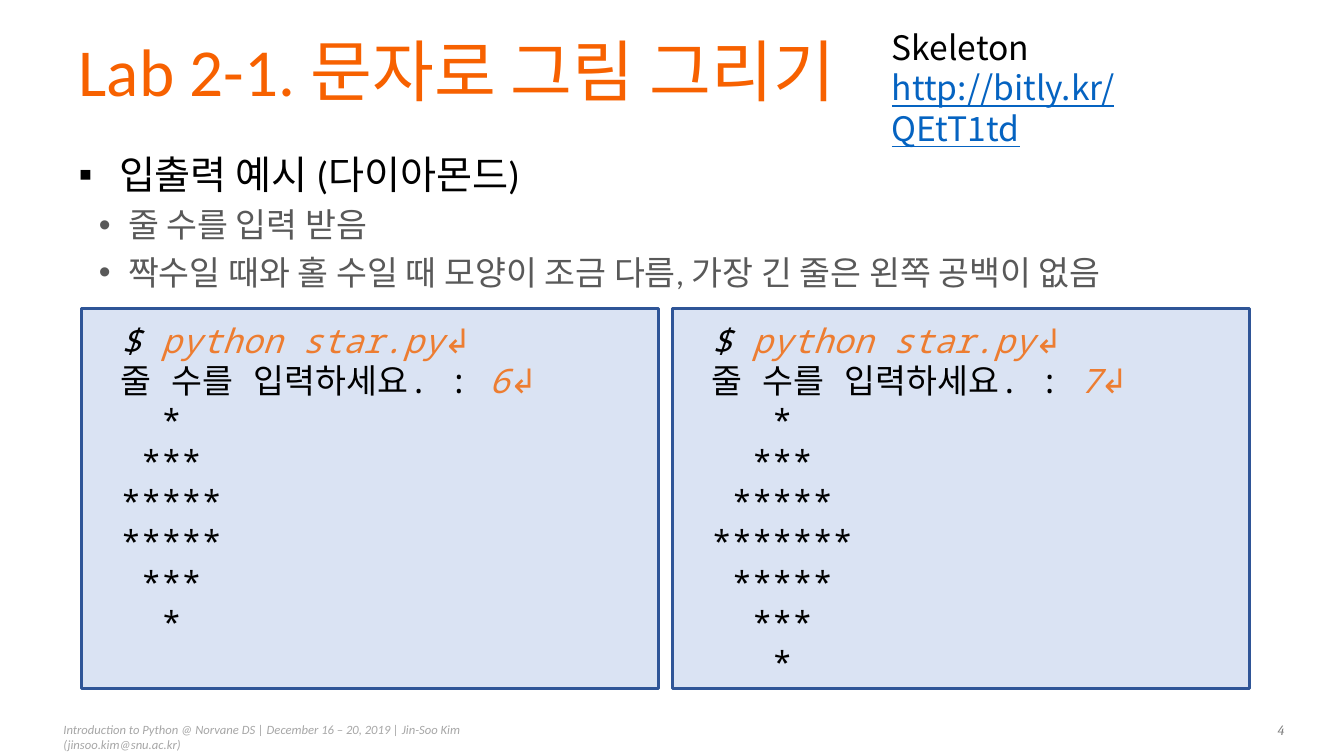
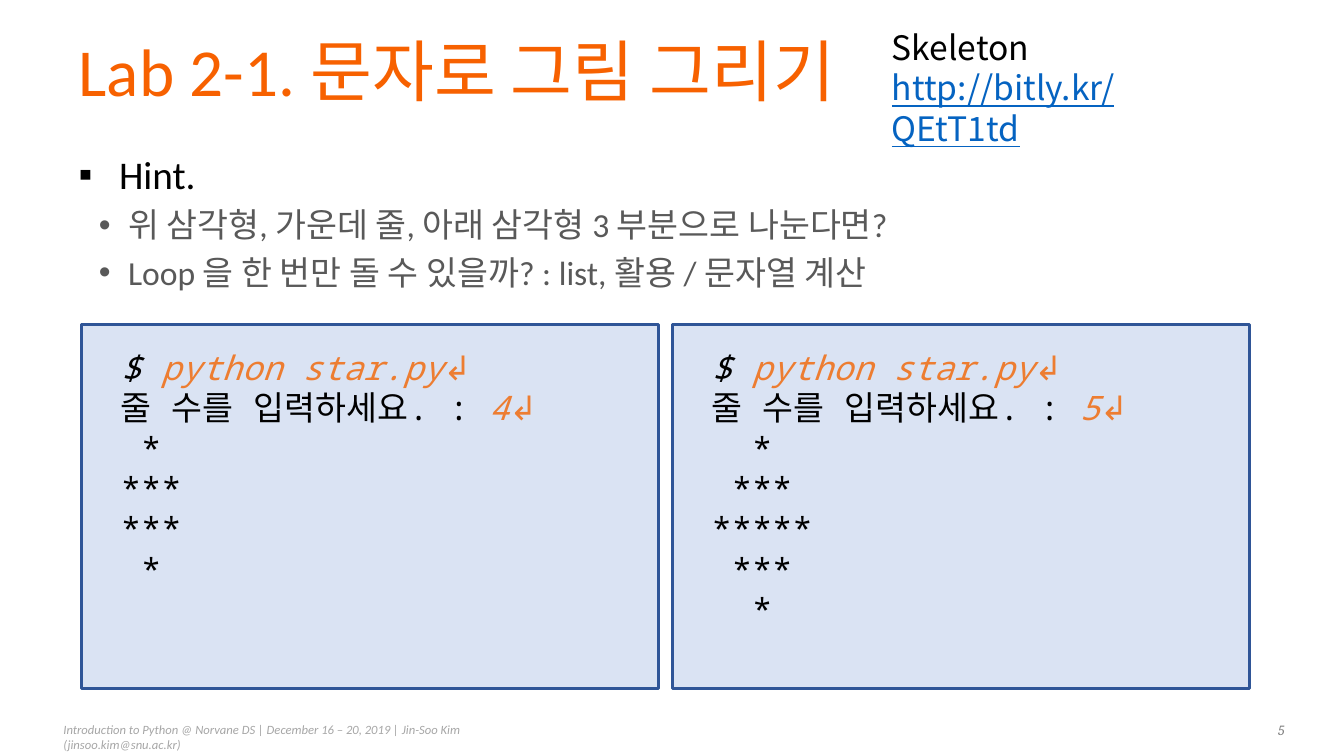
from dataclasses import dataclass
from typing import Any

import pptx
import pptx.dml.color
import pptx.enum.shapes
import pptx.enum.text
import pptx.oxml.ns
import pptx.util
from lxml import etree

Pt = pptx.util.Pt
RGBColor = pptx.dml.color.RGBColor
PP_ALIGN = pptx.enum.text.PP_ALIGN
MSO_ANCHOR = pptx.enum.text.MSO_ANCHOR


@dataclass(frozen=True)
class Style:
    size: float
    font: str
    color: str
    italic: bool = False
    underline: bool = False


@dataclass(frozen=True)
class Theme:
    title: Style = Style(48, "Calibri", "F76100")
    topic: Style = Style(28, "Calibri", "000000")
    detail: Style = Style(24, "Calibri", "595959")
    label: Style = Style(24, "Noto Sans CJK KR", "000000")
    link: Style = Style(24, "Noto Sans CJK KR", "0563C1", underline=True)
    output: Style = Style(24, "Noto Sans Mono", "000000")
    prompt: Style = Style(24, "Noto Sans Mono", "000000", italic=True)
    typed: Style = Style(24, "Noto Sans Mono", "ED7D31", italic=True)
    footer: Style = Style(9, "Calibri", "A6A6A6", italic=True)
    page: Style = Style(10, "Cambria", "808080", italic=True)
    console_fill: str = "DAE3F3"
    console_line: str = "2F5597"


@dataclass(frozen=True)
class Box:
    left: float
    top: float
    width: float
    height: float

    def lengths(self) -> tuple:
        return Pt(self.left), Pt(self.top), Pt(self.width), Pt(self.height)


@dataclass(frozen=True)
class Bullet:
    mark: str
    margin: float
    hang: float
    before: float
    style: Style


@dataclass(frozen=True)
class LabSlide:
    page: int
    topic: str
    details: tuple[str, ...]
    console_top: float
    console_inset: float
    line_counts: tuple[int, ...]


THEME = Theme()
TITLE_BOX = Box(49, 23.8, 862.6, 59.8)
BODY_BOX = Box(49, 103.7, 862.6, 400.3)
SKELETON_BOX = Box(630, 15.8, 252, 65.5)
FOOTER_BOX = Box(38.2, 511.9, 374.4, 18)
PAGE_BOX = Box(870.5, 511.9, 54, 19.4)

TOPIC_BULLET = Bullet("▪", 28.8, 28.8, 0, THEME.topic)
DETAIL_BULLET = Bullet("•", 35.3, 20.9, 5, THEME.detail)

CONSOLE_LEFT, CONSOLE_WIDTH, CONSOLE_GAP = 58.3, 412, 10
CONSOLE_BOTTOM = 491.8
LINE_PITCH = 28.8

TITLE = "Lab 2-1. 문자로 그림 그리기"
FOOTER = ("Introduction to Python @ Norvane DS | December 16 – 20, 2019 | "
          "Jin-Soo Kim (jinsoo.kim@snu.ac.kr)")

LABS = (
    LabSlide(4, "입출력 예시 (다이아몬드)",
             ("줄 수를 입력 받음",
              "짝수일 때와 홀 수일 때 모양이 조금 다름, 가장 긴 줄은 왼쪽 공백이 없음"),
             220.3, 8, (6, 7)),
    LabSlide(5, "Hint.",
             ("위 삼각형, 가운데 줄, 아래 삼각형 3 부분으로 나눈다면?",
              "Loop 을 한 번만 돌 수 있을까? : list, 활용 / 문자열 계산"),
             231.8, 16, (4, 5)),
)


# Text helpers
def format_run(run: Any, style: Style) -> None:
    font = run.font
    font.size = Pt(style.size)
    font.name = style.font
    font.italic = style.italic
    font.underline = style.underline
    font.color.rgb = RGBColor.from_string(style.color)
    east_asian = etree.Element(pptx.oxml.ns.qn("a:ea"), typeface=style.font)
    run.font._element.find(pptx.oxml.ns.qn("a:latin")).addnext(east_asian)


def write_line(paragraph: Any, *spans: tuple[str, Style]) -> None:
    paragraph.alignment = PP_ALIGN.LEFT
    for text, style in spans:
        run = paragraph.add_run()
        run.text = text
        format_run(run, style)


def write_lines(frame: Any, lines: list, pitch: float | None = None) -> None:
    for index, spans in enumerate(lines):
        paragraph = frame.add_paragraph() if index else frame.paragraphs[0]
        write_line(paragraph, *spans)
        if pitch:
            paragraph.line_spacing = Pt(pitch)


def set_bullet(paragraph: Any, bullet: Bullet) -> None:
    properties = paragraph._p.get_or_add_pPr()
    properties.set("marL", str(Pt(bullet.margin)))
    properties.set("indent", str(-Pt(bullet.hang)))
    etree.SubElement(properties, pptx.oxml.ns.qn("a:buFont"), typeface="Arial")
    etree.SubElement(properties, pptx.oxml.ns.qn("a:buChar"), char=bullet.mark)
    paragraph.space_before = Pt(bullet.before)
    paragraph.line_spacing = 1.0


def add_label(slide: Any, box: Box, lines: list,
              pitch: float | None = None) -> Any:
    frame = slide.shapes.add_textbox(*box.lengths()).text_frame
    frame.word_wrap = True
    write_lines(frame, lines, pitch)
    return frame


# Slide parts
def place_layout(layout: Any) -> None:
    for placeholder, box in zip(layout.placeholders, (TITLE_BOX, BODY_BOX)):
        (placeholder.left, placeholder.top,
         placeholder.width, placeholder.height) = box.lengths()


def fill_title(slide: Any) -> None:
    frame = slide.shapes.title.text_frame
    frame.auto_size = pptx.enum.text.MSO_AUTO_SIZE.NONE
    frame.vertical_anchor = MSO_ANCHOR.MIDDLE
    write_line(frame.paragraphs[0], (TITLE, THEME.title))
    frame.paragraphs[0].line_spacing = 0.9


def fill_body(slide: Any, lab: LabSlide) -> None:
    frame = slide.placeholders[1].text_frame
    frame.auto_size = pptx.enum.text.MSO_AUTO_SIZE.NONE
    items = [(lab.topic, TOPIC_BULLET)]
    items += [(detail, DETAIL_BULLET) for detail in lab.details]
    write_lines(frame, [[(text, bullet.style)] for text, bullet in items])
    for paragraph, (_, bullet) in zip(frame.paragraphs, items):
        paragraph.level = int(bullet is DETAIL_BULLET)
        set_bullet(paragraph, bullet)


def diamond(line_count: int) -> list[str]:
    stars = [2 * min(row, line_count - 1 - row) + 1 for row in range(line_count)]
    return [" " * ((max(stars) - count) // 2) + "*" * count for count in stars]


def add_console(slide: Any, box: Box, inset: float, line_count: int) -> None:
    console = slide.shapes.add_shape(
        pptx.enum.shapes.MSO_SHAPE.RECTANGLE, *box.lengths())
    console.shadow.inherit = False
    console.fill.solid()
    console.fill.fore_color.rgb = RGBColor.from_string(THEME.console_fill)
    console.line.color.rgb = RGBColor.from_string(THEME.console_line)
    console.line.width = Pt(2)
    frame = console.text_frame
    frame.word_wrap = True
    frame.vertical_anchor = MSO_ANCHOR.TOP
    frame.margin_left, frame.margin_top = Pt(28.1), Pt(inset)
    session = [
        [("$", THEME.prompt), (" python star.py↲", THEME.typed)],
        [("줄 수를 입력하세요. : ", THEME.output), (f"{line_count}↲", THEME.typed)],
    ]
    session += [[(row, THEME.output)] for row in diamond(line_count)]
    write_lines(frame, session, LINE_PITCH)


def add_footer(slide: Any, page: int) -> None:
    add_label(slide, FOOTER_BOX, [[(FOOTER, THEME.footer)]])
    number = add_label(slide, PAGE_BOX, [[(str(page), THEME.page)]])
    number.paragraphs[0].alignment = PP_ALIGN.RIGHT


def add_lab(prs: Any, layout: Any, lab: LabSlide) -> None:
    slide = prs.slides.add_slide(layout)
    add_footer(slide, lab.page)
    fill_title(slide)
    fill_body(slide, lab)
    for column, line_count in enumerate(lab.line_counts):
        box = Box(CONSOLE_LEFT + column * (CONSOLE_WIDTH + CONSOLE_GAP),
                  lab.console_top, CONSOLE_WIDTH,
                  CONSOLE_BOTTOM - lab.console_top)
        add_console(slide, box, lab.console_inset, line_count)
    add_label(slide, SKELETON_BOX,
              [[("Skeleton", THEME.label)],
               [("http://bitly.kr/QEtT1td", THEME.link)]], LINE_PITCH)


def main() -> None:
    prs = pptx.Presentation()
    prs.slide_width, prs.slide_height = Pt(960), Pt(540)
    layout = prs.slide_layouts[1]
    place_layout(layout)
    for lab in LABS:
        add_lab(prs, layout, lab)
    prs.save("out.pptx")


if __name__ == "__main__":
    main()
